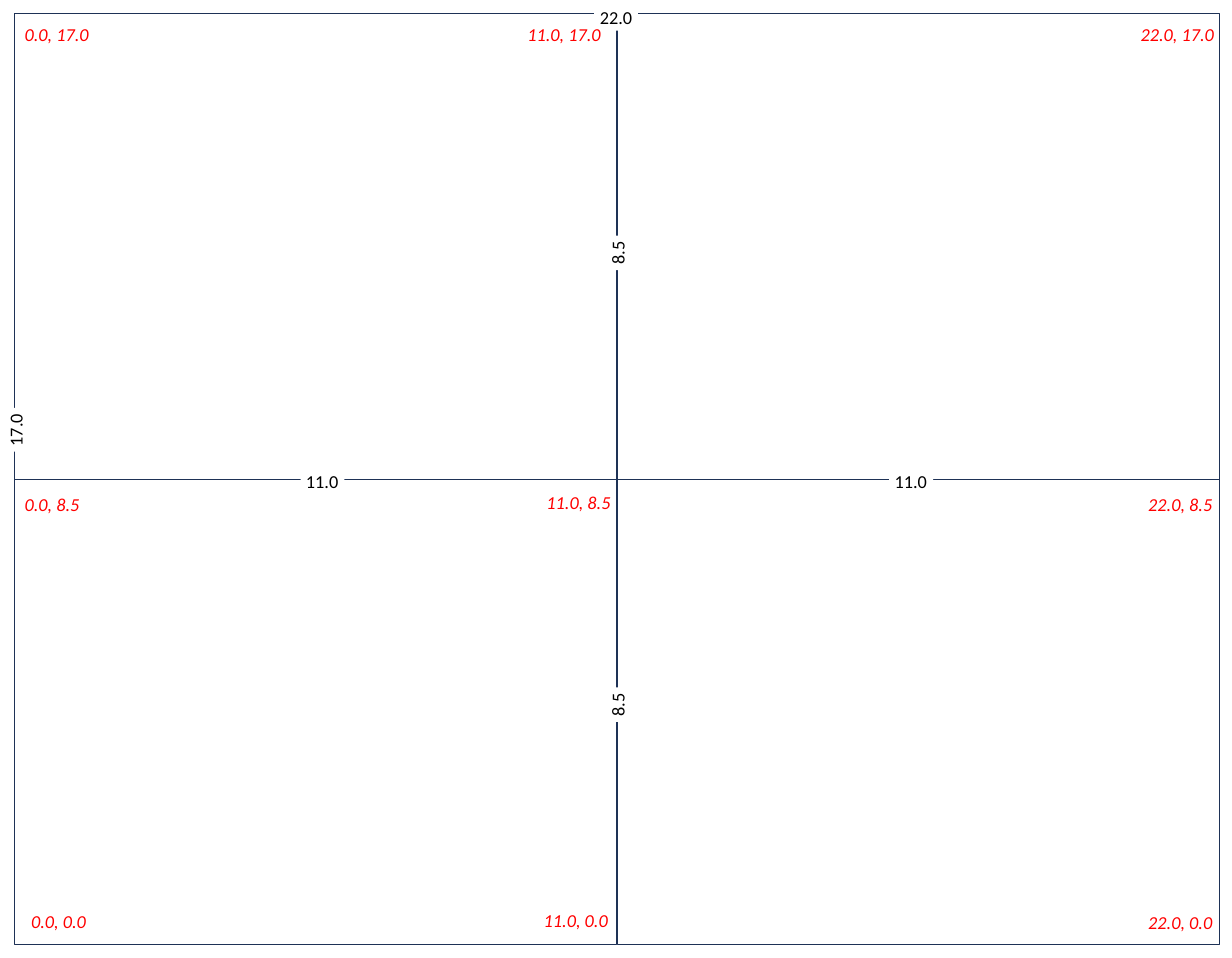
from pptx import Presentation
from pptx.dml.color import RGBColor
from pptx.enum.shapes import MSO_SHAPE
from pptx.enum.text import MSO_AUTO_SIZE, PP_ALIGN
from pptx.util import Inches, Pt

NAVY = RGBColor(0x1E, 0x32, 0x56)
RED = RGBColor(0xFF, 0x00, 0x00)
BLACK = RGBColor(0x00, 0x00, 0x00)
WHITE = RGBColor(0xFF, 0xFF, 0xFF)

PANEL_WIDTH, PANEL_HEIGHT = 11, 8.5
PANEL_LEFTS = (0.26, 11.27)
PANEL_TOPS = (0.25, 8.75)
LABEL_HEIGHT = 0.5

# text, left, top, width, rotation, alignment
DIMENSIONS = (
    ("17.0", -0.12, 7.6, 0.8, 270, PP_ALIGN.LEFT),
    ("11.0", 5.49, 8.54, 0.8, 0, PP_ALIGN.LEFT),
    ("11.0", 16.24, 8.55, 0.8, 0, PP_ALIGN.LEFT),
    ("22.0", 10.85, 0.06, 0.8, 0, PP_ALIGN.CENTER),
    ("8.5", 10.96, 4.37, 0.63, 270, PP_ALIGN.LEFT),
    ("8.5", 10.96, 12.62, 0.63, 270, PP_ALIGN.LEFT),
)

# text, left, top, width, alignment
COORDINATES = (
    ("0.0, 8.5", 0.35, 8.96, 1.21, PP_ALIGN.LEFT),
    ("0.0, 0.0", 0.47, 16.58, 1.21, PP_ALIGN.LEFT),
    ("11.0, 8.5", 9.87, 8.93, 1.38, PP_ALIGN.RIGHT),
    ("11.0, 0.0", 9.82, 16.56, 1.38, PP_ALIGN.RIGHT),
    ("0.0, 17.0", 0.35, 0.38, 1.38, PP_ALIGN.LEFT),
    ("11.0, 17.0", 9.52, 0.37, 1.55, PP_ALIGN.RIGHT),
    ("22.0, 17.0", 20.72, 0.38, 1.55, PP_ALIGN.RIGHT),
    ("22.0, 8.5", 20.86, 8.96, 1.38, PP_ALIGN.RIGHT),
    ("22.0, 0.0", 20.86, 16.59, 1.38, PP_ALIGN.RIGHT),
)


def add_panel(page, left, top):
    panel = page.shapes.add_shape(
        MSO_SHAPE.RECTANGLE, Inches(left), Inches(top),
        Inches(PANEL_WIDTH), Inches(PANEL_HEIGHT))
    panel.shadow.inherit = False
    panel.fill.background()
    panel.line.color.rgb = NAVY
    panel.line.width = Pt(1)


def add_label(page, text, left, top, width, alignment, color):
    box = page.shapes.add_textbox(
        Inches(left), Inches(top), Inches(width), Inches(LABEL_HEIGHT))
    frame = box.text_frame
    frame.text = text
    frame.word_wrap = False
    frame.auto_size = MSO_AUTO_SIZE.SHAPE_TO_FIT_TEXT
    para = frame.paragraphs[0]
    para.alignment = alignment
    font = para.runs[0].font
    font.name = "Calibri"
    font.size = Pt(24)
    font.color.rgb = color
    return box


def add_dimension(page, text, left, top, width, rotation, alignment):
    """Add a length label whose white fill interrupts the line below it."""
    box = add_label(page, text, left, top, width, alignment, BLACK)
    box.rotation = rotation
    box.fill.solid()
    box.fill.fore_color.rgb = WHITE


def add_coordinate(page, text, left, top, width, alignment):
    box = add_label(page, text, left, top, width, alignment, RED)
    box.text_frame.paragraphs[0].runs[0].font.italic = True


def main():
    deck = Presentation()
    deck.slide_width = Inches(22.5)
    deck.slide_height = Inches(17.5)
    page = deck.slides.add_slide(deck.slide_layouts[6])

    for left in PANEL_LEFTS:
        for top in PANEL_TOPS:
            add_panel(page, left, top)
    for dimension in DIMENSIONS:
        add_dimension(page, *dimension)
    for coordinate in COORDINATES:
        add_coordinate(page, *coordinate)

    deck.save("out.pptx")


if __name__ == "__main__":
    main()
